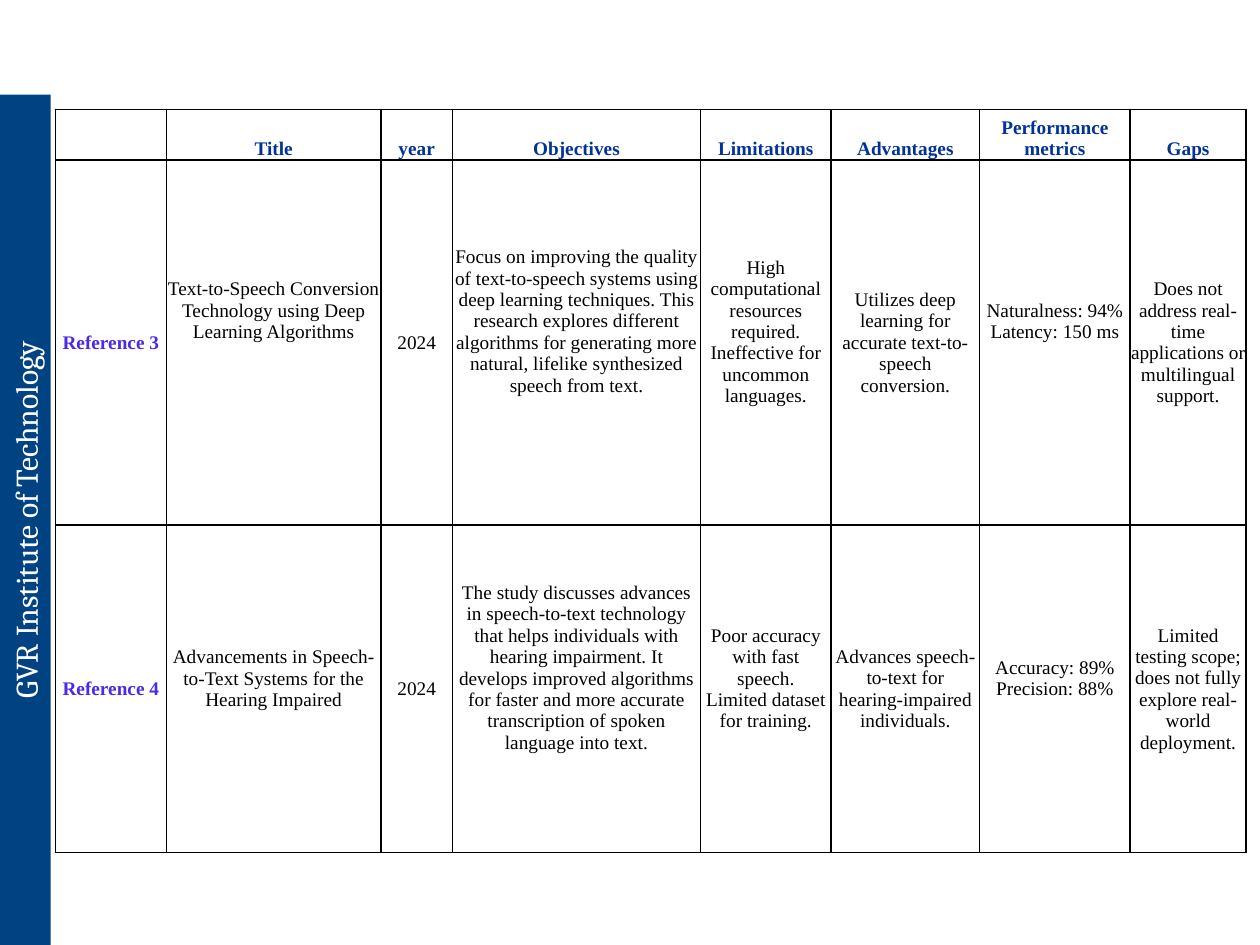
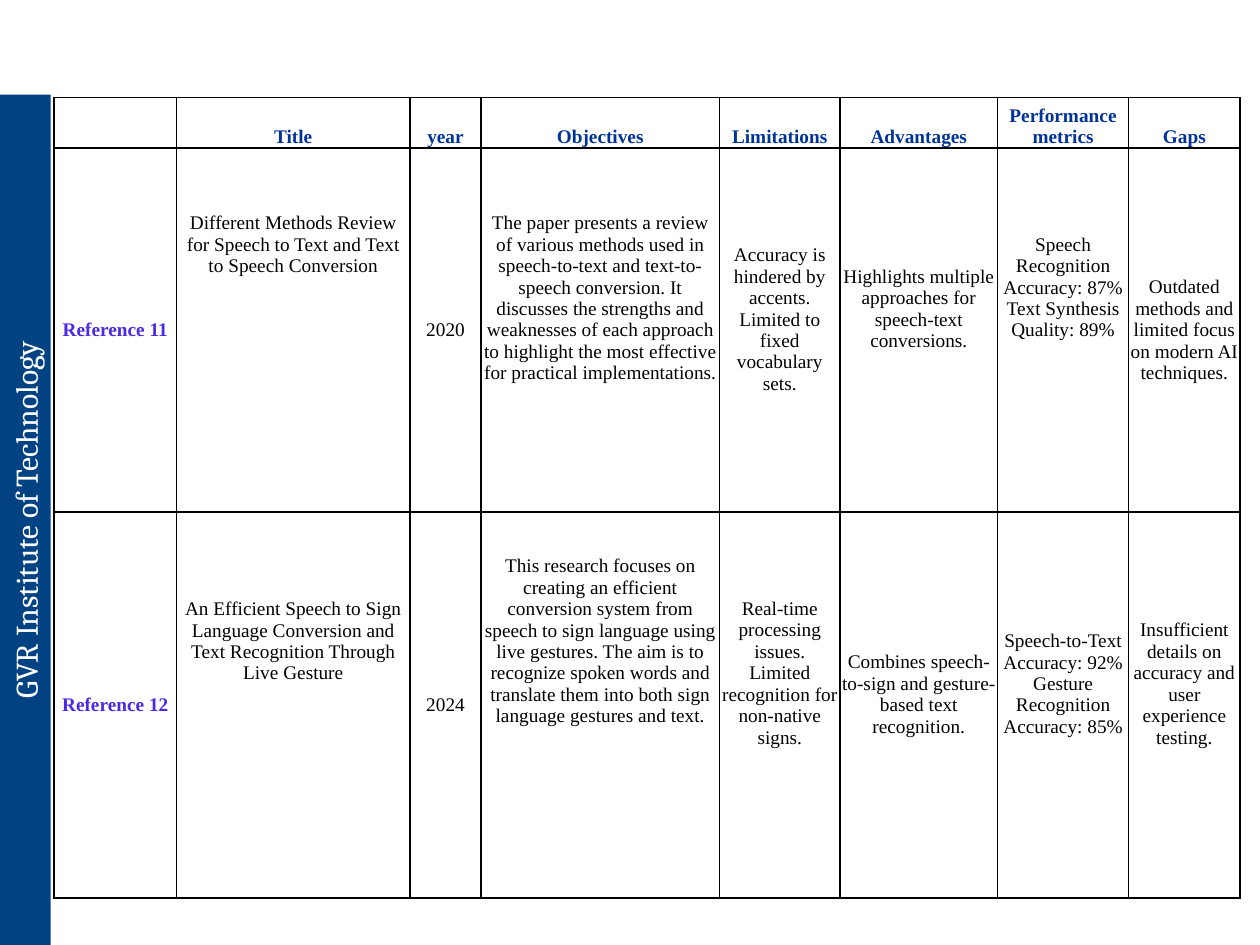
from lxml import etree
from pptx import Presentation
from pptx.dml.color import RGBColor
from pptx.enum.shapes import MSO_SHAPE
from pptx.enum.text import MSO_ANCHOR, PP_ALIGN
from pptx.oxml.ns import qn
from pptx.util import Pt

WHITE = RGBColor(0xFF, 0xFF, 0xFF)
BLACK = RGBColor(0x00, 0x00, 0x00)
BAND_BLUE = RGBColor(0x00, 0x42, 0x82)
HEADING_BLUE = RGBColor(0x00, 0x33, 0x99)
REFERENCE_VIOLET = RGBColor(0x4C, 0x29, 0xE4)

INSTITUTE = "GVR Institute of Technology"
HEADINGS = ["", "Title", "year", "Objectives", "Limitations", "Advantages",
            "Performance metrics", "Gaps"]

# "lifts" counts the text lines left free below each cell's text.
REVIEWS = [
    {
        "left": 31.7, "top": 62.5,
        "columns": [63.4, 122.6, 40.9, 141.8, 74.6, 84.9, 86, 66.3],
        "rows": [28.8, 208.6, 187.4],
        "references": [
            ["Reference 3",
             "Text-to-Speech Conversion Technology using Deep Learning Algorithms",
             "2024",
             "Focus on improving the quality of text-to-speech systems using deep learning "
             "techniques. This research explores different algorithms for generating more "
             "natural, lifelike synthesized speech from text.",
             "High computational resources required.\nIneffective for uncommon languages.",
             "Utilizes deep learning for accurate text-to-speech conversion.",
             "Naturalness: 94%\nLatency: 150 ms",
             "Does not address real-time applications or multilingual support."],
            ["Reference 4",
             "Advancements in Speech-to-Text Systems for the Hearing Impaired",
             "2024",
             "The study discusses advances in speech-to-text technology that helps individuals "
             "with hearing impairment. It develops improved algorithms for faster and more "
             "accurate transcription of spoken language into text.",
             "Poor accuracy with fast speech.\nLimited dataset for training.",
             "Advances speech-to-text for hearing-impaired individuals.",
             "Accuracy: 89%\nPrecision: 88%",
             "Limited testing scope; does not fully explore real-world deployment."],
        ],
        "lifts": [[0, 3, 0, 2, 1, 0, 2, 0], [0, 1, 0, 2, 1, 0, 1, 0]],
    },
    {
        "left": 30.9, "top": 55.7,
        "columns": [70, 133.4, 40.6, 136.3, 68.9, 90, 74.9, 63.7],
        "rows": [28.8, 208, 220.6],
        "references": [
            ["Reference 11",
             "Different Methods Review for Speech to Text and Text to Speech Conversion",
             "2020",
             "The paper presents a review of various methods used in speech-to-text and "
             "text-to-speech conversion. It discusses the strengths and weaknesses of each "
             "approach to highlight the most effective for practical implementations.",
             "Accuracy is hindered by accents.\nLimited to fixed vocabulary sets.",
             "Highlights multiple approaches for speech-text conversions.",
             "Speech Recognition Accuracy: 87%\nText Synthesis Quality: 89%",
             "Outdated methods and limited focus on modern AI techniques."],
            ["Reference 12",
             "An Efficient Speech to Sign Language Conversion and Text Recognition Through "
             "Live Gesture",
             "2024",
             "This research focuses on creating an efficient conversion system from speech to "
             "sign language using live gestures. The aim is to recognize spoken words and "
             "translate them into both sign language gestures and text.",
             "Real-time processing issues.\nLimited recognition for non-native signs.",
             "Combines speech-to-sign and gesture-based text recognition.",
             "Speech-to-Text Accuracy: 92%\nGesture Recognition Accuracy: 85%",
             "Insufficient details on accuracy and user experience testing."],
        ],
        "lifts": [[0, 8, 0, 3, 1, 2, 4, 0], [0, 6, 0, 6, 3, 1, 2, 2]],
    },
]

SLIDE_WIDTH, SLIDE_HEIGHT = 720, 540
BAND_LENGTH, BAND_THICKNESS = 486, 29
LINE_HEIGHT = 12.2
CELL_MARGIN = 0.5


def style_text(text_frame, font_name, size, color, bold=False):
    for paragraph in text_frame.paragraphs:
        paragraph.alignment = PP_ALIGN.CENTER
        for run in paragraph.runs:
            run.font.name = font_name
            run.font.size = Pt(size)
            run.font.color.rgb = color
            run.font.bold = bold


def add_layout_band(layout, slide):
    """Build the upright institute band on a slide, then move it to the layout."""
    left = (BAND_THICKNESS - BAND_LENGTH) / 2
    top = SLIDE_HEIGHT - (BAND_LENGTH + BAND_THICKNESS) / 2
    band = slide.shapes.add_shape(MSO_SHAPE.RECTANGLE, Pt(left), Pt(top),
                                  Pt(BAND_LENGTH), Pt(BAND_THICKNESS))
    band.rotation = 270
    band.shadow.inherit = False
    band.fill.solid()
    band.fill.fore_color.rgb = BAND_BLUE
    band.line.fill.background()
    band.text_frame.text = INSTITUTE
    band.text_frame.vertical_anchor = MSO_ANCHOR.MIDDLE
    style_text(band.text_frame, "Cambria", 18, WHITE)
    layout.shapes.element.append(band.element)


def add_borders(cell):
    properties = cell._tc.get_or_add_tcPr()
    for position, side in enumerate(("a:lnL", "a:lnR", "a:lnT", "a:lnB")):
        border = etree.Element(qn(side), w=str(Pt(1)))
        fill = etree.SubElement(border, qn("a:solidFill"))
        etree.SubElement(fill, qn("a:srgbClr"), val=str(BLACK))
        properties.insert(position, border)


def fill_cell(cell, text, color, bold, anchor, lift):
    cell.fill.solid()
    cell.fill.fore_color.rgb = WHITE
    cell.margin_left = cell.margin_right = cell.margin_top = Pt(CELL_MARGIN)
    cell.margin_bottom = Pt(lift * LINE_HEIGHT)
    cell.vertical_anchor = anchor
    cell.text_frame.text = text
    style_text(cell.text_frame, "Times New Roman", 11, color, bold)
    add_borders(cell)


def add_review_table(slide, review):
    columns, rows = review["columns"], review["rows"]
    table = slide.shapes.add_table(
        len(rows), len(columns), Pt(review["left"]), Pt(review["top"]),
        Pt(sum(columns)), Pt(sum(rows))).table
    table.first_row = table.horz_banding = False
    for column, width in zip(table.columns, columns):
        column.width = Pt(width)
    for row, height in zip(table.rows, rows):
        row.height = Pt(height)

    for c, heading in enumerate(HEADINGS):
        fill_cell(table.cell(0, c), heading, HEADING_BLUE, True, MSO_ANCHOR.BOTTOM, 0)
    for r, (reference, lifts) in enumerate(zip(review["references"], review["lifts"]), 1):
        for c, (text, lift) in enumerate(zip(reference, lifts)):
            is_label = c == 0
            color = REFERENCE_VIOLET if is_label else BLACK
            fill_cell(table.cell(r, c), text, color, is_label, MSO_ANCHOR.MIDDLE, lift)


def main():
    presentation = Presentation()
    presentation.slide_width = Pt(SLIDE_WIDTH)
    presentation.slide_height = Pt(SLIDE_HEIGHT)
    blank = presentation.slide_layouts[6]
    slides = [presentation.slides.add_slide(blank) for _ in REVIEWS]
    add_layout_band(blank, slides[0])
    for slide, review in zip(slides, REVIEWS):
        add_review_table(slide, review)
    presentation.save("out.pptx")


if __name__ == "__main__":
    main()
